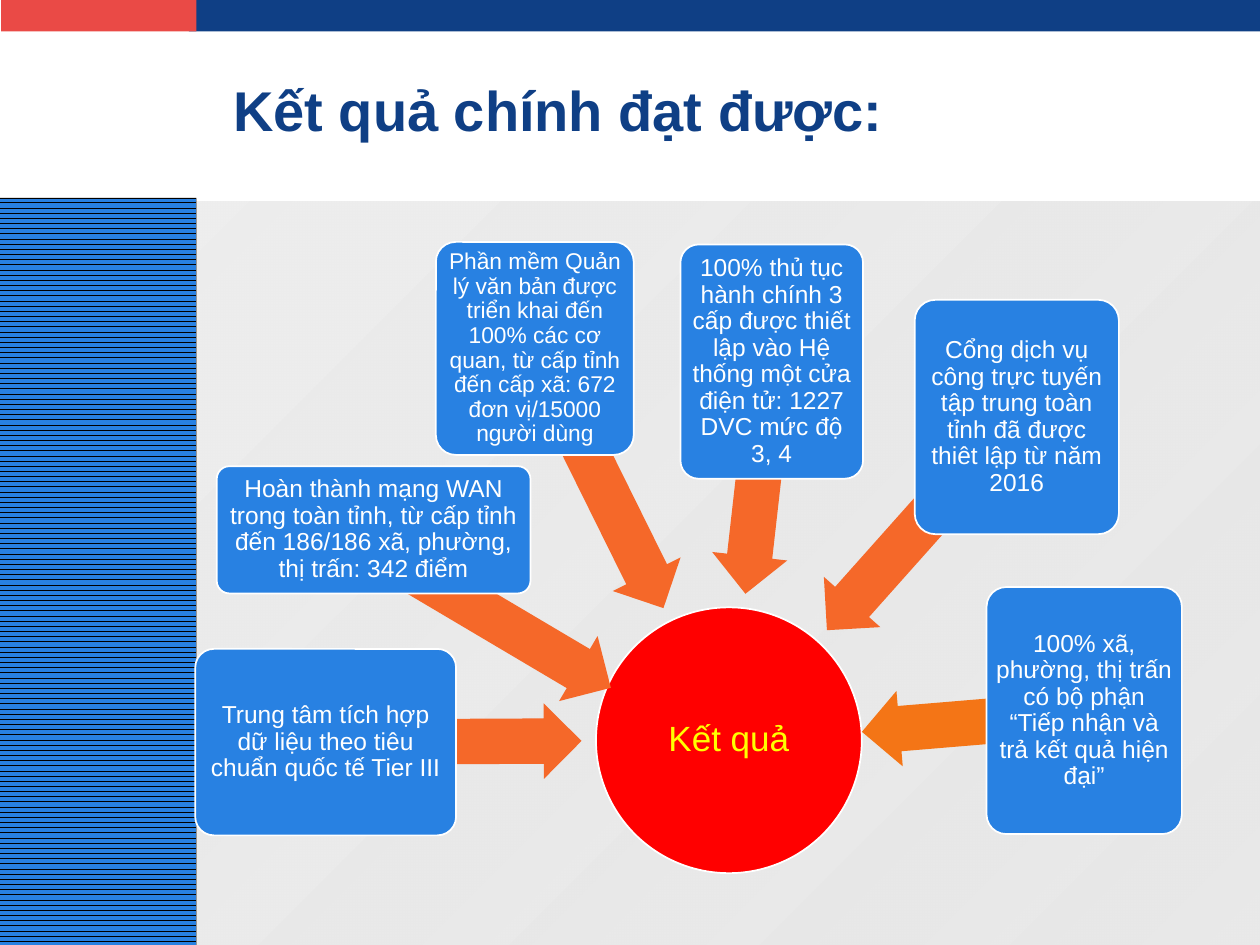
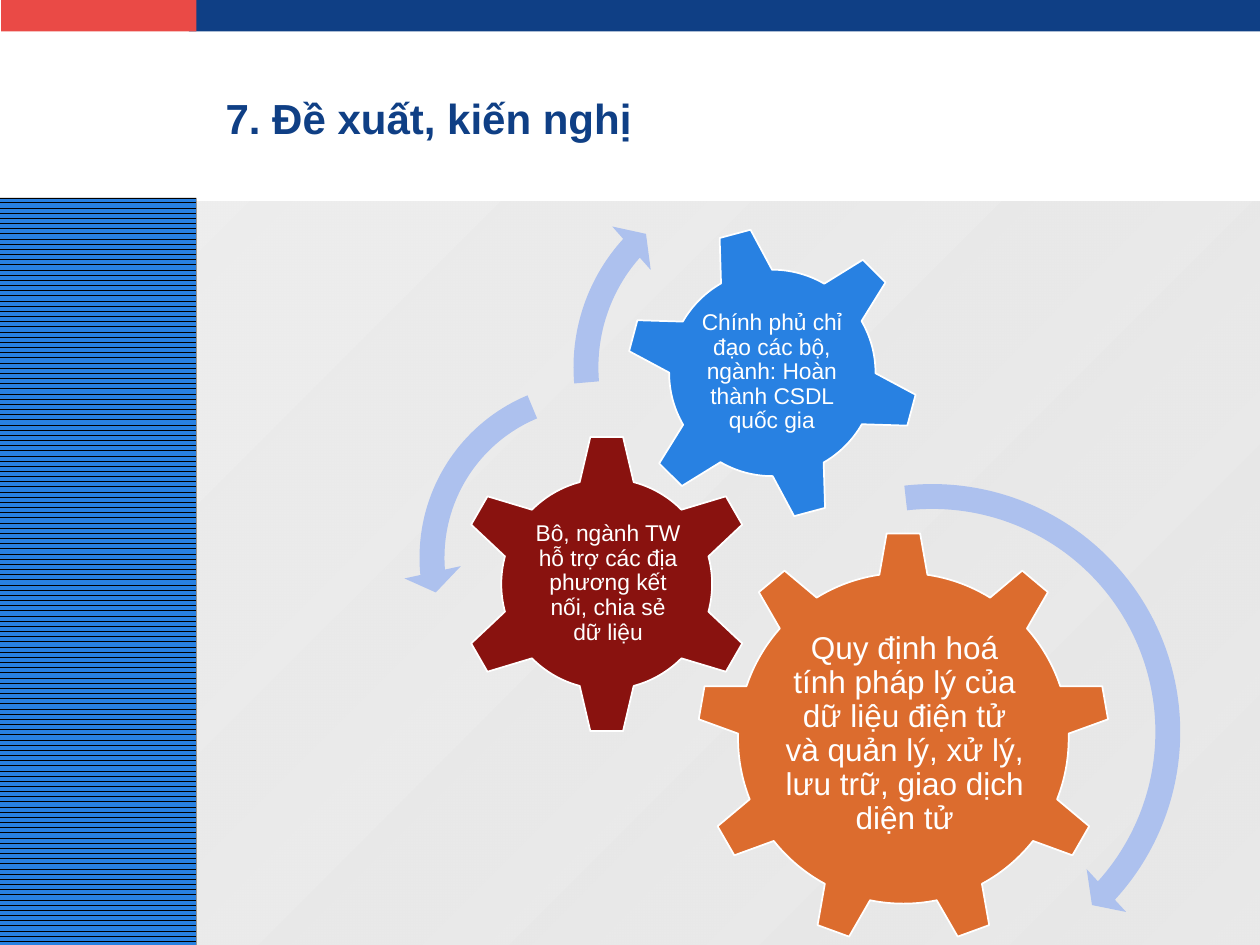
import math

from lxml import etree
from pptx import Presentation
from pptx.dml.color import RGBColor
from pptx.enum.dml import MSO_PATTERN
from pptx.enum.shapes import MSO_SHAPE
from pptx.enum.text import MSO_ANCHOR, PP_ALIGN
from pptx.oxml.ns import qn
from pptx.util import Pt

RECTANGLE = MSO_SHAPE.RECTANGLE
ROUNDED = MSO_SHAPE.ROUNDED_RECTANGLE
OVAL = MSO_SHAPE.OVAL
LEFT_ARROW = MSO_SHAPE.LEFT_ARROW
GEAR_6 = MSO_SHAPE.GEAR_6
GEAR_9 = MSO_SHAPE.GEAR_9
CIRCULAR = MSO_SHAPE.CIRCULAR_ARROW
LEFT_CIRCULAR = MSO_SHAPE.LEFT_CIRCULAR_ARROW
MIDDLE = MSO_ANCHOR.MIDDLE
LEFT = PP_ALIGN.LEFT
CENTER = PP_ALIGN.CENTER
DARK_HORIZONTAL = MSO_PATTERN.DARK_HORIZONTAL

EMU_PER_PX = 9144
FONT = "Arial"
COLORS = {
    "navy": "0F3F85",
    "blue": "2881E2",
    "coral": "EA4A46",
    "red": "FF0000",
    "maroon": "89120F",
    "rust": "DC6C2E",
    "orange": "F56829",
    "amber": "F47516",
    "periwinkle": "ADC1EE",
    "yellow": "FFFF00",
    "white": "FFFFFF",
    "black": "000000",
    "pale": "EEEEEE",
    "grey": "DDDDDD",
}

SLIDE_SIZE = (1000, 750)
RESULTS_BOX = (155, 192, 783, 501)
GEARS_BOX = (320, 127, 630, 664)

HUB = (318, 290, 211, 211)
ARROW_HEIGHT = 60
HUB_CLEARANCE = 117
RESULTS = [
    ("Trung tâm tích hợp dữ liệu theo tiêu chuẩn quốc tế Tier III",
     (0, 323, 207, 148), 14, "orange", (0, 0)),
    ("Hoàn thành mạng WAN trong toàn tỉnh, từ cấp tỉnh đến 186/186 xã, phường, thị trấn: 342 điểm",
     (17, 178, 249, 101), 14, "orange", (7, 18)),
    ("Phần mềm Quản lý văn bản được triển khai đến 100% các cơ quan, "
     "từ cấp tỉnh đến cấp xã: 672 đơn vị/15000 người dùng",
     (191, 0, 157, 169), 13, "orange", (0, 0)),
    ("100% thủ tục hành chính 3 cấp được thiết lập vào Hệ thống một cửa điện tử: 1227 DVC mức độ 3, 4",
     (385, 2, 145, 186), 14, "orange", (0, 0)),
    ("Cổng dịch vụ công trực tuyến tập trung toàn tỉnh đã được thiêt lập từ năm 2016",
     (571, 46, 162, 186), 14, "orange", (0, 0)),
    ("100% xã, phường, thị trấn có bộ phận “Tiếp nhận và trả kết quả hiện đại”",
     (628, 274, 155, 196), 14, "amber", (-11, 3)),
]

GEARS = [
    (GEAR_9, (233, 295, 328, 328), 0, "rust", (300, 371, 196, 169), 18, 3,
     "Quy định hoá tính pháp lý của dữ liệu điện tử và quản lý, xử lý, lưu trữ, giao dịch diện tử"),
    (GEAR_6, (42, 217, 239, 239), 0, "maroon", (103, 277, 119, 118), 13, 2,
     "Bô, ngành TW hỗ trợ các địa phương kết nối, chia sẻ dữ liệu"),
    (GEAR_6, (176, 52, 234, 234), 345, "blue", (227, 103, 131, 131), 13, 2,
     "Chính phủ chỉ đạo các bộ, ngành: Hoàn thành CSDL quốc gia"),
]
TURN_ARROWS = [
    (CIRCULAR, (210, 244, 420, 420), (0.047, 2.99, 25.399, 158.11, 0.055)),
    (LEFT_CIRCULAR, (0, 163, 305, 305), (0.065, 4.3, 104.891, 148.378, 0.075)),
    (CIRCULAR, (122, 0, 329, 329), (0.06, 3.941, 133.138, 105.082, 0.07)),
]


def px(length):
    return round(length * EMU_PER_PX)


def color(name):
    return RGBColor.from_string(COLORS[name])


def within(region, box):
    return region[0] + box[0], region[1] + box[1], box[2], box[3]


def center_of(box):
    return box[0] + box[2] / 2, box[1] + box[3] / 2


def add_shape(slide, kind, box, fill=None, outlined=False, adjustments=(), rotation=0):
    shape = slide.shapes.add_shape(kind, *map(px, box))
    shape.shadow.inherit = False
    shape.rotation = rotation
    for index, value in enumerate(adjustments):
        shape.adjustments[index] = value
    if fill:
        shape.fill.solid()
        shape.fill.fore_color.rgb = color(fill)
    if outlined:
        shape.line.color.rgb = color("white")
        shape.line.width = Pt(1)
    else:
        shape.line.fill.background()
    return shape


def format_font(paragraph, size, font_color, bold=False):
    for run in paragraph.runs:
        run.font.name = FONT
        run.font.size = Pt(size)
        run.font.bold = bold
        run.font.color.rgb = color(font_color)


def set_label(shape, text, size, font_color="white", inset=3):
    frame = shape.text_frame
    frame.text = text
    frame.word_wrap = True
    frame.vertical_anchor = MIDDLE
    frame.margin_left = frame.margin_right = px(inset)
    frame.margin_top = frame.margin_bottom = px(inset)
    paragraph = frame.paragraphs[0]
    paragraph.alignment = CENTER
    paragraph.line_spacing = 0.9
    format_font(paragraph, size, font_color)


def add_backdrop(slide):
    top_band = add_shape(slide, RECTANGLE, (150, 0, 850, 25), "navy")

    panel = add_shape(slide, RECTANGLE, (0, 160, 1000, 590))
    panel.fill.gradient()
    panel.fill.gradient_angle = 315
    for stop, name in zip(panel.fill.gradient_stops, ("pale", "grey")):
        stop.color.rgb = color(name)
    end_color = panel.element.xpath(".//a:gs/a:srgbClr")[-1]
    etree.SubElement(end_color, qn("a:alpha")).set("val", "64000")

    side_band = add_shape(slide, RECTANGLE, (0, 157, 156, 595))
    side_band.fill.patterned()
    side_band.fill.pattern = DARK_HORIZONTAL
    side_band.fill.fore_color.rgb = color("blue")
    side_band.fill.back_color.rgb = color("black")

    corner = add_shape(slide, RECTANGLE, (1, 0, 155, 25), "coral")
    return [top_band, panel, side_band, corner]


def move_to_layout(shapes, layout):
    for index, shape in enumerate(shapes):
        shape.element.xpath(".//p:cNvPr")[0].set("id", str(100 + index))
        layout.shapes.element.insert(2 + index, shape.element)


def set_title(slide, text, box, size):
    title = slide.shapes.title
    title.left, title.top, title.width, title.height = map(px, box)
    title.text_frame.text = text
    title.text_frame.vertical_anchor = MIDDLE
    paragraph = title.text_frame.paragraphs[0]
    paragraph.alignment = LEFT
    format_font(paragraph, size, "navy", bold=True)


def add_arrow_to_hub(slide, card, hub, fill, shift):
    card_x, card_y = center_of(card)
    hub_x, hub_y = center_of(hub)
    length = math.dist((card_x, card_y), (hub_x, hub_y)) - HUB_CLEARANCE
    angle = math.atan2(hub_y - card_y, hub_x - card_x)
    middle_x = card_x + shift[0] + length / 2 * math.cos(angle)
    middle_y = card_y + shift[1] + length / 2 * math.sin(angle)
    box = (middle_x - length / 2, middle_y - ARROW_HEIGHT / 2, length, ARROW_HEIGHT)
    add_shape(slide, LEFT_ARROW, box, fill, adjustments=(0.6, 0.5),
              rotation=180 + math.degrees(angle))


def add_results(slide, region):
    hub_box = within(region, HUB)
    hub = add_shape(slide, OVAL, hub_box, "red", outlined=True)
    set_label(hub, "Kết quả", 20, "yellow", inset=1)
    for text, box, size, arrow_fill, shift in RESULTS:
        card_box = within(region, box)
        add_arrow_to_hub(slide, card_box, hub_box, arrow_fill, shift)
        card = add_shape(slide, ROUNDED, card_box, "blue", outlined=True, adjustments=(0.1,))
        set_label(card, text, size)


def add_gears(slide, region):
    for kind, box, rotation, fill, label_box, size, inset, text in GEARS:
        add_shape(slide, kind, within(region, box), fill, outlined=True, rotation=rotation)
        label = slide.shapes.add_textbox(*map(px, within(region, label_box)))
        set_label(label, text, size, inset=inset)
    for kind, box, adjustments in TURN_ARROWS:
        add_shape(slide, kind, within(region, box), "periwinkle", adjustments=adjustments)


def main():
    presentation = Presentation()
    presentation.slide_width, presentation.slide_height = map(px, SLIDE_SIZE)
    layout = presentation.slide_layouts.get_by_name("Title Only")

    results_slide = presentation.slides.add_slide(layout)
    move_to_layout(add_backdrop(results_slide), layout)
    set_title(results_slide, "Kết quả chính đạt được:", (175, 60, 731, 53), 32)
    add_results(results_slide, RESULTS_BOX)

    proposals_slide = presentation.slides.add_slide(layout)
    set_title(proposals_slide, "7. Đề xuất, kiến nghị", (169, 48, 811, 91), 24)
    add_gears(proposals_slide, GEARS_BOX)

    presentation.save("out.pptx")


if __name__ == "__main__":
    main()
